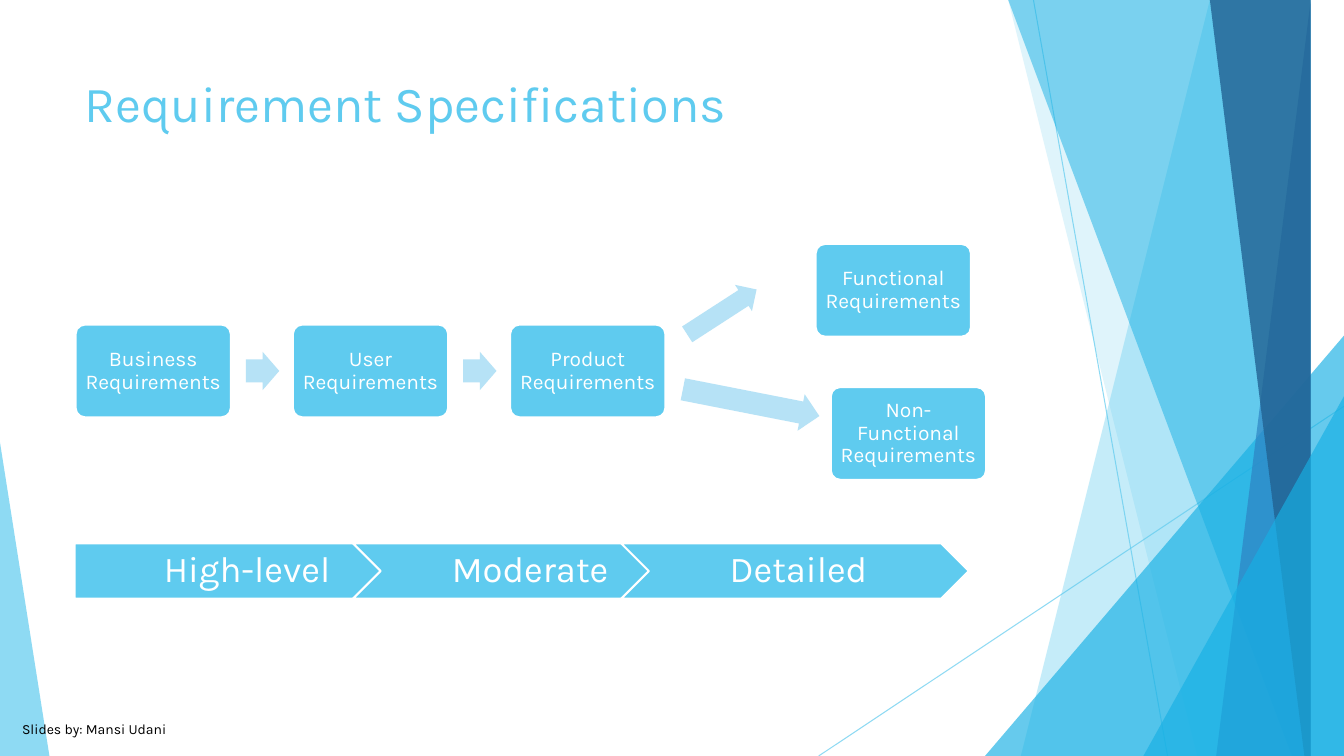
import pptx
import pptx.util
import pptx.dml.color
import pptx.enum.shapes
import pptx.enum.text
import pptx.oxml
import pptx.oxml.ns

SHAPE = pptx.enum.shapes.MSO_SHAPE
ALIGN = pptx.enum.text.PP_ALIGN
ANCHOR = pptx.enum.text.MSO_ANCHOR
inches = pptx.util.Inches
WIDTH, HEIGHT = 13.33, 7.5
FONT = "Karla"
SKY, CYAN, BLUE, NAVY = "5FCBEF", "17B0E4", "2E83C3", "226292"
PALE, WHITE, BLACK = "B6E2F6", "FFFFFF", "000000"


def color(target, value, alpha=100):
    """Give a fill a solid hex colour, with an opacity in percent."""
    target.solid()
    target.fore_color.rgb = pptx.dml.color.RGBColor.from_string(value)
    return alpha


def set_alpha(shape, alpha):
    for node in shape.element.spPr.iter(pptx.oxml.ns.qn("a:srgbClr")):
        opacity = pptx.oxml.parse_xml(
            f'<a:alpha {pptx.oxml.ns.nsdecls("a")} val="{alpha * 1000}"/>')
        node.append(opacity)


def paint(shape, fill, alpha=100, outline=None):
    shape.shadow.inherit = False
    color(shape.fill, fill)
    if outline:
        color(shape.line.fill, outline)
        shape.line.width = pptx.util.Pt(1.5)
    else:
        shape.line.fill.background()
    if alpha < 100:
        set_alpha(shape, alpha)


def write(shape, text, size, value, align=ALIGN.LEFT, spacing=None, **frame_format):
    frame = shape.text_frame
    frame.text = text
    for name, setting in {"word_wrap": True, **frame_format}.items():
        setattr(frame, name, setting)
    paragraph = frame.paragraphs[0]
    paragraph.alignment = align
    paragraph.line_spacing = spacing
    font = paragraph.runs[0].font
    font.name, font.size = FONT, pptx.util.Pt(size)
    color(font.fill, value)


def add_preset(slide, kind, box, adjustments=(), rotation=0):
    shape = slide.shapes.add_shape(kind, *map(inches, box))
    for index, adjustment in enumerate(adjustments):
        shape.adjustments[index] = adjustment
    shape.rotation = rotation
    return shape


def add_label(slide, kind, box, text, size, margins, adjustments=()):
    shape = add_preset(slide, kind, box, adjustments)
    paint(shape, SKY, outline=WHITE)
    sides = ("margin_left", "margin_top", "margin_right", "margin_bottom")
    write(shape, text, size, WHITE, ALIGN.CENTER, 0.9, vertical_anchor=ANCHOR.MIDDLE,
          **dict(zip(sides, map(inches, margins))))


def add_arrow(slide, box, rotation=0):
    paint(add_preset(slide, SHAPE.RIGHT_ARROW, box, (0.6, 0.5), rotation), PALE)


def draw_backdrop(slide, box):
    """Translucent facets along the right edge and a wedge at the lower left."""
    left, top, width, height = box
    right, bottom = left + width, top + height

    # Thin crossing lines
    for start, end in (((10.25, top), (11.58, bottom)),
                       ((right, 4.03), (8.12, bottom))):
        line = slide.shapes.add_connector(
            pptx.enum.shapes.MSO_CONNECTOR.STRAIGHT, *map(inches, start + end))
        color(line.line.fill, SKY)
        line.line.width = pptx.util.Pt(0.75)
        set_alpha(line, 70)
        line.element.spPr.append(pptx.oxml.parse_xml(
            f'<a:effectLst {pptx.oxml.ns.nsdecls("a")}/>'))

    def facet(top_x, bottom_x, value, alpha):
        builder = slide.shapes.build_freeform(top_x, top, scale=inches(1))
        builder.add_line_segments([(right, top), (right, bottom), (bottom_x, bottom)])
        paint(builder.convert_to_shape(), value, alpha)

    def wedge(x, wedge_width, wedge_height, apex, value, alpha):
        wedge_box = (x, bottom - wedge_height, wedge_width, wedge_height)
        paint(add_preset(slide, SHAPE.ISOSCELES_TRIANGLE, wedge_box, (apex,)), value, alpha)

    # Facets and wedges from back to front
    facet(12.28, 10.04, SKY, 36)
    facet(10.5, 11.83, SKY, 20)
    wedge(right - 3.56, 3.56, 4.17, 1, CYAN, 66)
    facet(10.21, 12.91, CYAN, 50)
    facet(13.03, 11.92, BLUE, 70)
    facet(11.96, 13.18, NAVY, 80)
    wedge(right - 1.99, 1.99, 3.57, 1, CYAN, 66)
    wedge(left, 0.49, 3.11, 0, SKY, 70)


def draw_title(slide, box):
    title = slide.shapes.title
    for name, length in zip(("left", "top", "width", "height"), box):
        setattr(title, name, inches(length))
    write(title, "Requirement Specifications", 36, SKY, vertical_anchor=ANCHOR.TOP)


def draw_credit(slide, box):
    credit = slide.shapes.add_textbox(*map(inches, box))
    write(credit, "Slides by: Mansi Udani", 10, BLACK)


def draw_flow(slide, box):
    """Three steps in a row that split into two kinds of requirement."""
    left, top, width, height = box
    card_width, card_height = 1.54, 0.92
    pitch, row = 2.155, top + 0.8

    def card(x, y, text):
        add_label(slide, SHAPE.ROUNDED_RECTANGLE, (x, y, card_width, card_height),
                  text, 15, [0.06] * 4, (0.1,))

    for index, name in enumerate(("Business", "User", "Product")):
        x = left + index * pitch
        card(x, row, f"{name} Requirements")
        if index < 2:
            add_arrow(slide, (x + 1.69, row + (card_height - 0.38) / 2, 0.33, 0.38))

    # Branches
    right, bottom = left + width, top + height
    add_arrow(slide, (left + 6.01, top + 1.39, 1.38, 0.37), 11.1)
    card(right - card_width, bottom - card_height, "Non-Functional Requirements")
    add_arrow(slide, (left + 6, top + 0.52, 0.82, 0.31), 327.1)
    card(right - card_width - 0.15, top, "Functional Requirements")


def draw_levels(slide, box):
    """Chevron band that shows the growing level of detail."""
    left, top, width, height = box
    step_width = 3.45
    levels = (("High-level", SHAPE.PENTAGON, 0, 0.15),
              ("Moderate", SHAPE.CHEVRON, 2.76, 0.11),
              ("Detailed", SHAPE.CHEVRON, width - step_width, 0.11))
    for text, kind, offset, margin in levels:
        add_label(slide, kind, (left + offset, top, step_width, height), text, 26,
                  (margin, 0.08, 0.04, 0.08), (0.5,))


def main():
    presentation = pptx.Presentation()
    presentation.slide_width = inches(WIDTH)
    presentation.slide_height = inches(HEIGHT)
    slide = presentation.slides.add_slide(presentation.slide_layouts.get_by_name("Title Only"))
    color(slide.background.fill, WHITE)
    draw_backdrop(slide, (0, 0, WIDTH, HEIGHT))
    draw_credit(slide, (0.12, 7.1, 6.89, 0.4))
    draw_title(slide, (0.74, 0.67, 9.4, 1.44))
    draw_flow(slide, (0.75, 2.42, 9.03, 2.34))
    draw_levels(slide, (0.74, 5.39, 8.87, 0.55))
    presentation.save("out.pptx")


if __name__ == "__main__":
    main()
